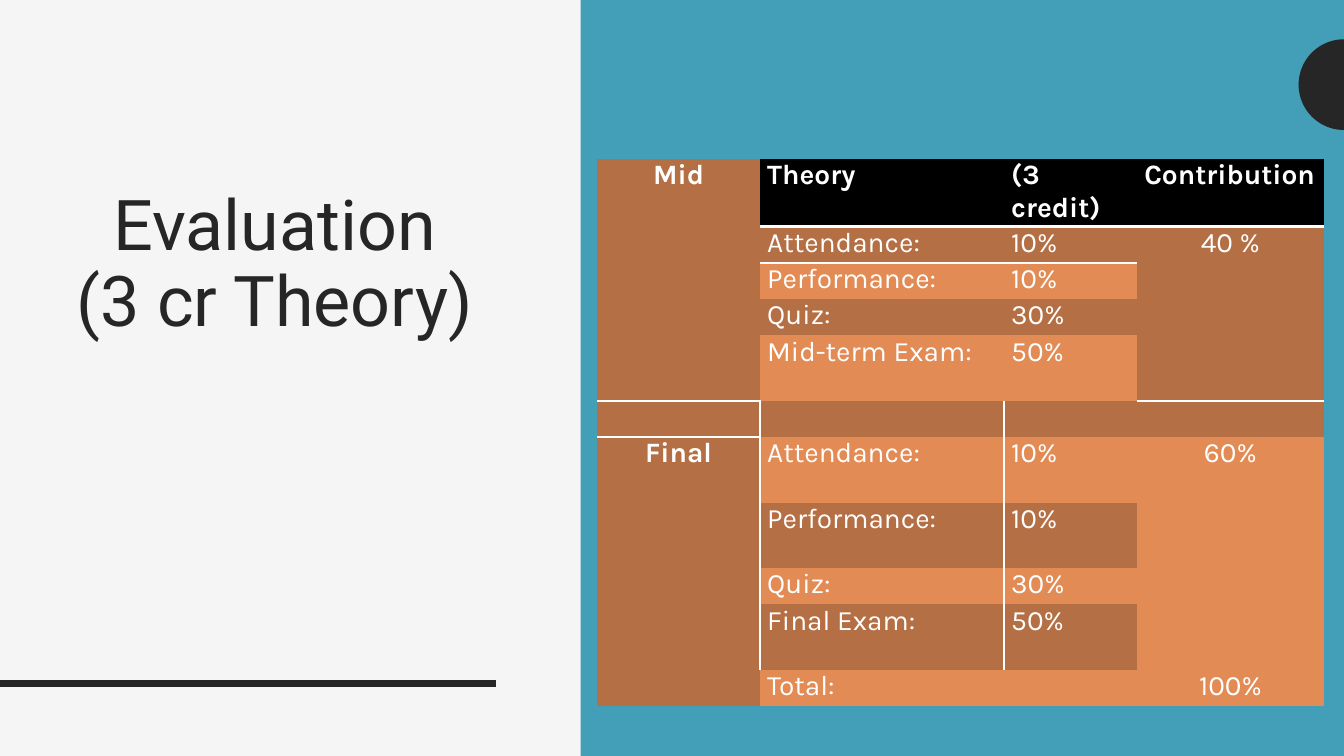
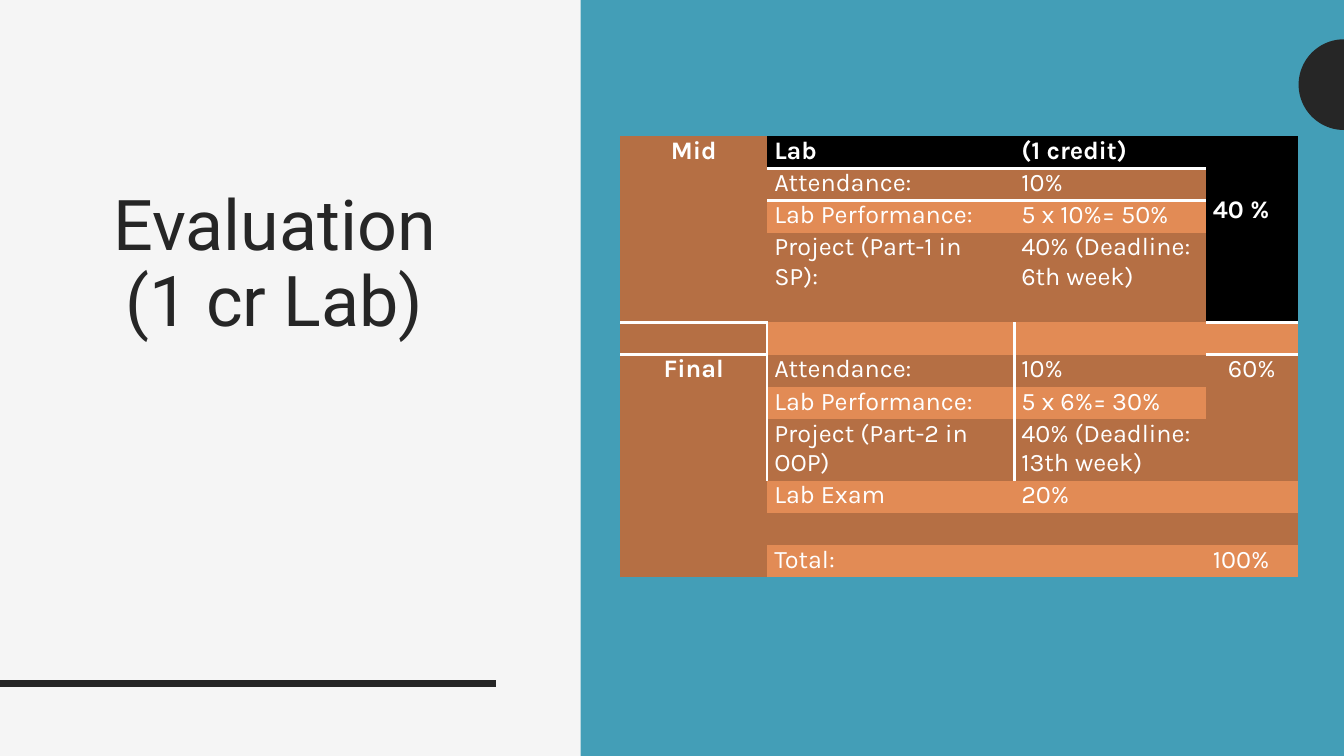
from dataclasses import dataclass
from math import cos, pi, sin

from lxml import etree
from pptx import Presentation
from pptx.dml.color import RGBColor
from pptx.enum.shapes import MSO_CONNECTOR, MSO_SHAPE
from pptx.enum.text import MSO_ANCHOR, PP_ALIGN
from pptx.oxml.ns import qn
from pptx.util import Inches, Pt

# Theme
PAPER = RGBColor(0xF5, 0xF5, 0xF5)
INK = RGBColor(0x26, 0x26, 0x26)
TEAL = RGBColor(0x43, 0x9E, 0xB7)
BROWN = RGBColor(0xB5, 0x6F, 0x44)
ORANGE = RGBColor(0xE2, 0x8B, 0x55)
BLACK = RGBColor(0, 0, 0)
WHITE = RGBColor(0xFF, 0xFF, 0xFF)
HEAD_FONT, BODY_FONT = "Roboto", "Karla"
CENTER, LEFT = PP_ALIGN.CENTER, PP_ALIGN.LEFT
TOP = MSO_ANCHOR.TOP
RECT = MSO_SHAPE.RECTANGLE
STRAIGHT = MSO_CONNECTOR.STRAIGHT
NO_GRID = "{2D5ABB26-0587-4C30-8999-92F81FD0307C}"
WIDE, HIGH = 13.33, 7.5


@dataclass(frozen=True)
class Span:
    """A column's cells merged from the first row to the last."""
    col: int
    first: int
    last: int


@dataclass(frozen=True)
class Rule:
    """A white line below a row, over a range of columns."""
    row: int
    cols: range


@dataclass(frozen=True)
class Plan:
    title: str
    left: float
    top: float
    size: int
    cols: list[float]
    low: float                # height of a plain row
    tall: dict[int, float]    # heights of the other rows
    rows: list[list[str]]
    spans: list[Span]
    rules: list[Rule]
    upright: range            # rows with a line right of the first column
    centred: set[int]         # rows whose last cell is centred
    drop: dict[tuple[int, int], float]  # top margins by cell


THEORY = Plan(
    title="Evaluation\v(3 cr Theory)",
    left=5.92, top=1.58, size=20,
    cols=[1.62, 2.42, 1.32, 1.85],
    low=0.36, tall=dict.fromkeys((0, 4, 6, 7, 9), 0.65),
    rows=[
        ["Mid", "Theory", "(3 credit)", "Contribution"],
        ["", "Attendance:", "10%", "40 %"],
        ["", "Performance:", "10%", ""],
        ["", "Quiz:", "30%", ""],
        ["", "Mid-term Exam:", "50%", ""],
        ["", "", "", ""],
        ["Final", "Attendance:", "10%", "60%"],
        ["", "Performance:", "10%", ""],
        ["", "Quiz:", "30%", ""],
        ["", "Final Exam:", "50%", ""],
        ["", "Total:", "", "100%"],
    ],
    spans=[Span(0, 0, 4), Span(3, 1, 4), Span(0, 6, 9), Span(3, 6, 9)],
    rules=[Rule(0, range(1, 4)), Rule(4, range(1))],
    upright=range(5, 10), centred={1, 6, 10}, drop={},
)

LAB = Plan(
    title="Evaluation\v(1 cr Lab)",
    left=6.15, top=1.35, size=18,
    cols=[1.46, 2.45, 1.9, 0.91],
    low=0.32, tall={3: 0.88, 7: 0.61},
    rows=[
        ["Mid", "Lab", "(1 credit)", "40 %"],
        ["", "Attendance:", "10%", ""],
        ["", "Lab Performance:", "5 x 10%= 50%", ""],
        ["", "Project (Part-1 in SP):", "40% (Deadline: 6th week)", ""],
        ["", "", "", ""],
        ["Final", "Attendance:", "10%", "60%"],
        ["", "Lab Performance:", "5 x 6%= 30%", ""],
        ["", "Project (Part-2 in OOP)", "40% (Deadline: 13th week)", ""],
        ["", "Lab Exam", "20%", ""],
        ["", "", "", ""],
        ["", "Total:", "", "100%"],
    ],
    spans=[Span(0, 0, 3), Span(3, 0, 3), Span(0, 5, 7), Span(3, 5, 7),
           Span(0, 8, 10)],
    rules=[Rule(0, range(1, 3)), Rule(3, range(1)), Rule(3, range(3, 4))],
    upright=range(4, 8), centred={5}, drop={(0, 3): 0.59},
)


def paint(shape, color: RGBColor) -> None:
    shape.shadow.inherit = False
    shape.fill.solid()
    shape.fill.fore_color.rgb = color
    shape.line.fill.background()


def draw_frame(slide) -> None:
    """Background, bottom line, side panel and half disc."""
    slide.background.fill.solid()
    slide.background.fill.fore_color.rgb = PAPER
    shapes = slide.shapes

    line = shapes.add_connector(
        STRAIGHT, Inches(0), Inches(6.78), Inches(4.92), Inches(6.78))
    line.line.color.rgb = INK
    line.line.width = Pt(4.5)
    etree.SubElement(line._element.spPr, qn("a:effectLst"))

    panel = shapes.add_shape(
        RECT, Inches(5.76), Inches(0), Inches(WIDE - 5.76), Inches(HIGH))
    paint(panel, TEAL)

    steps, radius, mid = 48, 0.45, 0.84
    arc = [(Inches(WIDE - radius * sin(pi * i / steps)),
            Inches(mid - radius * cos(pi * i / steps)))
           for i in range(steps + 1)]
    outline = shapes.build_freeform(*arc[0])
    outline.add_line_segments(arc[1:], close=True)
    paint(outline.convert_to_shape(), INK)


def draw_title(slide, text: str) -> None:
    box = slide.shapes.add_textbox(
        Inches(0.63), Inches(1.84), Inches(4.19), Inches(2.49))
    frame = box.text_frame
    frame.word_wrap = True
    frame.vertical_anchor = TOP
    frame.text = text
    para = frame.paragraphs[0]
    para.alignment = CENTER
    para.line_spacing = 0.9
    for run in para.runs:
        run.font.size = Pt(50)
        run.font.name = HEAD_FONT
        run.font.color.rgb = INK


def add_edge(cell, side: str) -> None:
    edge = etree.SubElement(
        cell._tc.get_or_add_tcPr(), qn(f"a:ln{side}"), w=str(Pt(2)))
    fill = etree.SubElement(edge, qn("a:solidFill"))
    etree.SubElement(fill, qn("a:srgbClr"), val=str(WHITE))


def fill_cell(cell, plan: Plan, row: int, col: int) -> None:
    # Borders come before the fill, in the order L, R, T, B
    ruled = {(rule.row, c) for rule in plan.rules for c in rule.cols}
    sides = {
        "L": col == 1 and row in plan.upright,
        "R": col == 0 and row in plan.upright,
        "T": (row - 1, col) in ruled,
        "B": (row, col) in ruled,
    }
    for side, shown in sides.items():
        if shown:
            add_edge(cell, side)

    # A merged cell takes the band of its first row
    start = next((s.first for s in plan.spans
                  if s.col == col and s.first <= row <= s.last), row)
    if col == 0:
        color = BROWN
    elif start == 0:
        color = BLACK
    else:
        color = BROWN if start % 2 else ORANGE
    cell.fill.solid()
    cell.fill.fore_color.rgb = color

    cell.margin_left = cell.margin_right = Inches(0.07)
    cell.margin_top = Inches(plan.drop.get((row, col), 0))
    cell.margin_bottom = Inches(0)
    cell.vertical_anchor = TOP
    text = plan.rows[row][col]
    if not text:
        return
    cell.text_frame.text = text
    para = cell.text_frame.paragraphs[0]
    middle = col == 0 or (col == 3 and row in plan.centred)
    para.alignment = CENTER if middle else LEFT
    font = para.runs[0].font
    font.name = BODY_FONT
    font.size = Pt(plan.size)
    font.bold = row == 0 or col == 0
    font.color.rgb = WHITE


def draw_table(slide, plan: Plan) -> None:
    highs = [plan.tall.get(i, plan.low) for i in range(len(plan.rows))]
    table = slide.shapes.add_table(
        len(highs), len(plan.cols), Inches(plan.left), Inches(plan.top),
        Inches(sum(plan.cols)), Inches(sum(highs))).table
    table.first_row = table.horz_banding = False
    table._tbl.tblPr.find(qn("a:tableStyleId")).text = NO_GRID
    for column, width in zip(table.columns, plan.cols):
        column.width = Inches(width)
    for line, high in zip(table.rows, highs):
        line.height = Inches(high)
    for row in range(len(highs)):
        for col in range(len(plan.cols)):
            fill_cell(table.cell(row, col), plan, row, col)
    for span in plan.spans:
        table.cell(span.first, span.col).merge(
            table.cell(span.last, span.col))


def main() -> None:
    deck = Presentation()
    deck.slide_width, deck.slide_height = Inches(WIDE), Inches(HIGH)
    for plan in (THEORY, LAB):
        slide = deck.slides.add_slide(deck.slide_layouts[6])
        draw_frame(slide)
        draw_title(slide, plan.title)
        draw_table(slide, plan)
    deck.save("out.pptx")


if __name__ == "__main__":
    main()
